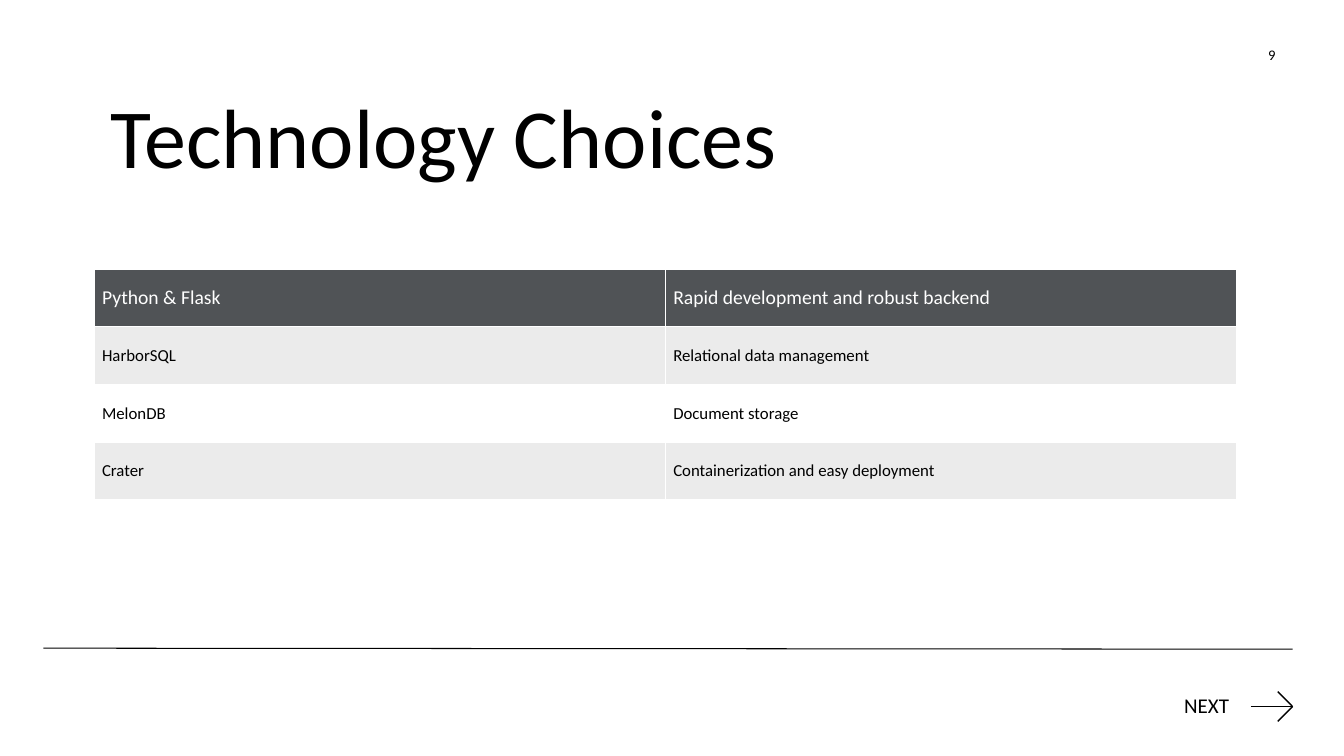
from lxml import etree
from pptx import Presentation
from pptx.dml.color import RGBColor
from pptx.enum import shapes, text
from pptx.oxml import ns
from pptx.util import Pt

HUES = {"ink": "000000", "paper": "FFFFFF", "head": "505356", "band": "EBEBEB"}
ROWS = [
    ("Python & Flask", "Rapid development and robust backend"),
    ("HarborSQL", "Relational data management"),
    ("MelonDB", "Document storage"),
    ("Crater", "Containerization and easy deployment"),
]


class Deck:
    """Holds the style and the current slide; lengths are in points."""

    face = "Calibri"

    def __init__(self, slide):
        self.slide = slide

    def hue(self, name):
        return RGBColor.from_string(HUES[name])

    def letter(self, frame, words, size, hue="ink", align=text.PP_ALIGN.LEFT):
        """Fill a text frame with one styled paragraph and return it."""
        frame.text = words
        para = frame.paragraphs[0]
        para.alignment = align
        font = para.font
        font.name, font.size, font.bold = self.face, Pt(size), False
        font.color.rgb = self.hue(hue)
        return para

    def place(self, shape, left, top, width, height):
        shape.left, shape.top = Pt(left), Pt(top)
        shape.width, shape.height = Pt(width), Pt(height)

    def title(self, words, box, size):
        shape = self.slide.shapes.title
        self.place(shape, *box)
        frame = shape.text_frame
        frame.vertical_anchor = text.MSO_ANCHOR.TOP
        frame.auto_size = text.MSO_AUTO_SIZE.NONE
        self.letter(frame, words, size)

    def label(self, words, box, size, align=text.PP_ALIGN.LEFT,
              anchor=text.MSO_ANCHOR.TOP, side=7.2):
        frame = self.slide.shapes.add_textbox(*map(Pt, box)).text_frame
        frame.word_wrap = True
        frame.vertical_anchor = anchor
        frame.margin_left = frame.margin_right = Pt(side)
        return self.letter(frame, words, size, align=align)

    def line(self, start, end, width=1):
        link = self.slide.shapes.add_connector(
            shapes.MSO_CONNECTOR.STRAIGHT, *map(Pt, start + end))
        link.line.color.rgb = self.hue("ink")
        link.line.width = Pt(width)
        etree.SubElement(link._element.spPr, ns.qn("a:effectLst"))

    def edge(self, cell):
        """Draw a thin white border on all four sides."""
        props = cell._tc.get_or_add_tcPr()
        for side in ("lnL", "lnR", "lnT", "lnB"):
            rule = etree.SubElement(props, ns.qn("a:" + side), w=str(Pt(1)))
            fill = etree.SubElement(rule, ns.qn("a:solidFill"))
            etree.SubElement(fill, ns.qn("a:srgbClr"), val=HUES["paper"])

    def table(self, rows, box):
        grid = self.slide.shapes.add_table(
            len(rows), len(rows[0]), *map(Pt, box)).table
        grid.horz_banding = False
        for r, row in enumerate(rows):
            fill = "head" if r == 0 else "band" if r % 2 else "paper"
            size, hue = (12, "ink") if r else (14, "paper")
            for c, words in enumerate(row):
                cell = grid.cell(r, c)
                self.edge(cell)
                cell.fill.solid()
                cell.fill.fore_color.rgb = self.hue(fill)
                cell.vertical_anchor = text.MSO_ANCHOR.MIDDLE
                cell.margin_left = cell.margin_right = Pt(5.7)
                cell.margin_top = cell.margin_bottom = Pt(5.7)
                self.letter(cell.text_frame, words, size, hue)


def main():
    show = Presentation()
    show.slide_width, show.slide_height = Pt(960), Pt(540)
    deck = Deck(show.slides.add_slide(show.slide_layouts[5]))

    tip, mid = 923.3, 504.7
    deck.line((893.5, mid), (tip, mid))
    for rise in (-10.6, 10.6):
        deck.line((tip - 10.6, mid + rise), (tip, mid))
    para = deck.label("NEXT", (843, 493.2, 60, 24), 15, side=2.9)
    para.line_spacing, para.space_before = 0.9, Pt(6)

    deck.table(ROWS, (67.2, 192.2, 816, 165))
    deck.title("Technology Choices", (72, 57, 822, 103.5), 60)
    deck.line((31, 463), (tip, 463.7), 0.75)
    deck.label("9", (894, 25.2, 29, 28), 10.5,
               text.PP_ALIGN.CENTER, text.MSO_ANCHOR.MIDDLE)
    show.save("out.pptx")


if __name__ == "__main__":
    main()
